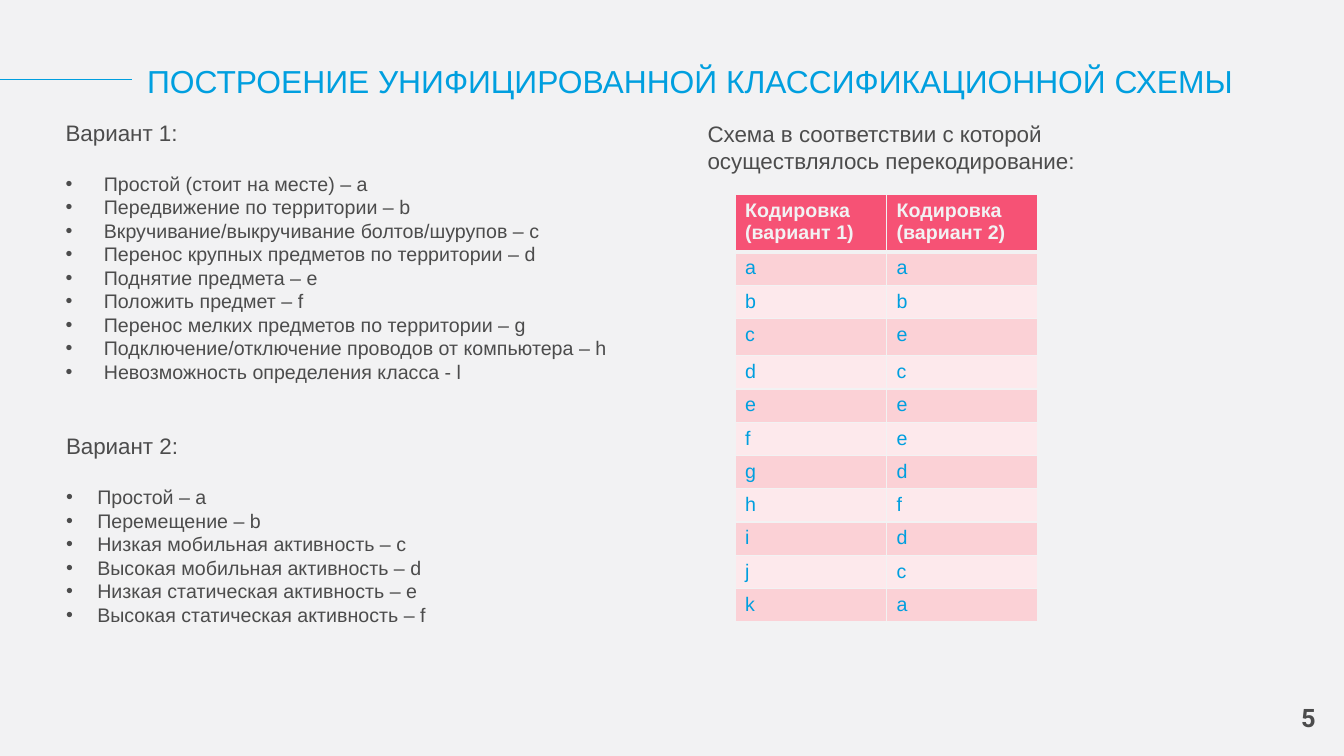
from dataclasses import dataclass

from lxml.etree import SubElement
from pptx import Presentation
from pptx.dml.color import RGBColor
from pptx.enum.shapes import MSO_CONNECTOR as Connector
from pptx.enum.text import MSO_ANCHOR as Anchor, MSO_AUTO_SIZE as AutoSize, PP_ALIGN as Align
from pptx.oxml.ns import qn
from pptx.util import Inches, Pt

WIDTH, HEIGHT = Inches(13.33), Inches(7.5)
PAPER, INK, BLUE, PINK = "F2F2F3", "4C4C4C", "009FDF", "F65275"
BANDS = ("FBD1D6", "FDE9EC")


@dataclass(frozen=True)
class Area:
    """A place on the slide, in percent of its width and height."""
    left: float
    top: float
    width: float
    height: float

    def lengths(self) -> tuple[int, int, int, int]:
        return (across(self.left), down(self.top), across(self.width), down(self.height))


@dataclass(frozen=True)
class Variant:
    heading: str
    items: tuple[str, ...]
    area: Area
    indent: float


VARIANTS = (
    Variant("Вариант 1:", (
        "Простой (стоит на месте) – a",
        "Передвижение по территории – b",
        "Вкручивание/выкручивание болтов/шурупов – c",
        "Перенос крупных предметов по территории – d",
        "Поднятие предмета – e",
        "Положить предмет – f",
        "Перенос мелких предметов по территории – g",
        "Подключение/отключение проводов от компьютера – h",
        "Невозможность определения класса - l",
    ), Area(4.13, 15.07, 47.86, 36.8), 0.38),
    Variant("Вариант 2:", (
        "Простой – a",
        "Перемещение – b",
        "Низкая мобильная активность – c",
        "Высокая мобильная активность – d",
        "Низкая статическая активность – e",
        "Высокая статическая активность – f",
    ), Area(4.16, 56.53, 45.84, 27.33), 0.31),
)
HEADER = ("Кодировка (вариант 1)", "Кодировка (вариант 2)")
RECODING = tuple(zip("abcdefghijk", "abeceedfdca"))


def across(percent: float) -> int:
    return round(WIDTH * percent / 100)


def down(percent: float) -> int:
    return round(HEIGHT * percent / 100)


def color(value: str) -> RGBColor:
    return RGBColor.from_string(value)


def format_runs(para, size: float, ink: str, bold: bool = False, font: str = "Arial") -> None:
    for span in para.runs:
        span.font.name, span.font.size, span.font.bold = font, Pt(size), bold
        span.font.color.rgb = color(ink)


def place(box, area: Area, margins: bool = True) -> None:
    box.left, box.top, box.width, box.height = area.lengths()
    frame = box.text_frame
    frame.word_wrap, frame.auto_size = True, AutoSize.NONE
    frame.vertical_anchor = Anchor.TOP
    if not margins:
        frame.margin_left = frame.margin_top = frame.margin_right = frame.margin_bottom = 0


def add_label(page, text: str, area: Area, size: float, margins: bool = True):
    box = page.shapes.add_textbox(*area.lengths())
    place(box, area, margins)
    box.text_frame.text = text
    para = box.text_frame.paragraphs[0]
    format_runs(para, size, INK)
    return para


def set_bullet(para, indent: float) -> None:
    props = para._p.get_or_add_pPr()
    props.set("marL", str(Inches(indent)))
    props.set("indent", str(-Inches(indent)))
    if indent:
        SubElement(props, qn("a:buFont")).set("typeface", "Arial")
        SubElement(props, qn("a:buChar")).set("char", "•")
    else:
        SubElement(props, qn("a:buNone"))


def fill_variant(box, variant: Variant) -> None:
    place(box, variant.area)
    box.text_frame.text = "\n".join((variant.heading, *variant.items))
    for index, para in enumerate(box.text_frame.paragraphs):
        is_heading = index == 0
        set_bullet(para, 0 if is_heading else variant.indent)
        para.space_before = Pt(0)
        para.space_after = Pt(18.4 if is_heading else 0)
        format_runs(para, 16 if is_heading else 14, INK)


def set_borders(cell, bottom: float) -> None:
    props = cell._tc.get_or_add_tcPr()
    for side, width in (("L", 1), ("R", 1), ("T", 1), ("B", bottom)):
        line = SubElement(props, qn(f"a:ln{side}"))
        line.set("w", str(Pt(width)))
        fill = SubElement(line, qn("a:solidFill"))
        SubElement(fill, qn("a:srgbClr")).set("val", PAPER)


def add_recoding_table(page, area: Area) -> None:
    rows = (HEADER, *RECODING)
    table = page.shapes.add_table(len(rows), len(HEADER), *area.lengths()).table
    for column in table.columns:
        column.width = across(area.width / len(HEADER))
    for row_index, texts in enumerate(rows):
        is_header = row_index == 0
        table.rows[row_index].height = down({0: 7.6, 3: 4.93}.get(row_index, 4.4))
        for column_index, text in enumerate(texts):
            cell = table.cell(row_index, column_index)
            set_borders(cell, 3 if is_header else 1)
            cell.fill.solid()
            cell.fill.fore_color.rgb = color(PINK if is_header else BANDS[(row_index - 1) % 2])
            cell.text_frame.text = text
            format_runs(cell.text_frame.paragraphs[0], 14, PAPER if is_header else BLUE, is_header)


def main() -> None:
    deck = Presentation()
    deck.slide_width, deck.slide_height = WIDTH, HEIGHT
    page = deck.slides.add_slide(deck.slide_layouts.get_by_name("Two Content"))
    page.background.fill.solid()
    page.background.fill.fore_color.rgb = color(PAPER)

    # Title with its leading rule
    rule = page.shapes.add_connector(
        Connector.STRAIGHT, 0, down(10.53), across(9.83), down(10.53))
    rule.line.color.rgb, rule.line.width = color(BLUE), Pt(1)
    SubElement(rule._element.spPr, qn("a:effectLst"))
    title = page.shapes.title
    place(title, Area(10.95, 8.13, 85.9, 5.07), margins=False)
    title.text_frame.text = "ПОСТРОЕНИЕ УНИФИЦИРОВАННОЙ КЛАССИФИКАЦИОННОЙ СХЕМЫ"
    title_para = title.text_frame.paragraphs[0]
    title_para.alignment = Align.LEFT
    format_runs(title_para, 22.7, BLUE)

    # Class lists
    for number, variant in enumerate(VARIANTS, start=1):
        fill_variant(page.placeholders[number], variant)

    # Recoding scheme
    add_label(page, "Схема в соответствии с которой осуществлялось перекодирование:",
              Area(51.91, 15.2, 38.78, 8.53), 16)
    add_recoding_table(page, Area(54.69, 25.73, 22.55, 56.93))

    # Slide number
    number_para = add_label(page, "5", Area(88.37, 92.93, 9.53, 5.33), 18.1, margins=False)
    number_para.alignment = Align.RIGHT
    format_runs(number_para, 18.1, INK, bold=True, font="Roboto")

    deck.save("out.pptx")


if __name__ == "__main__":
    main()
